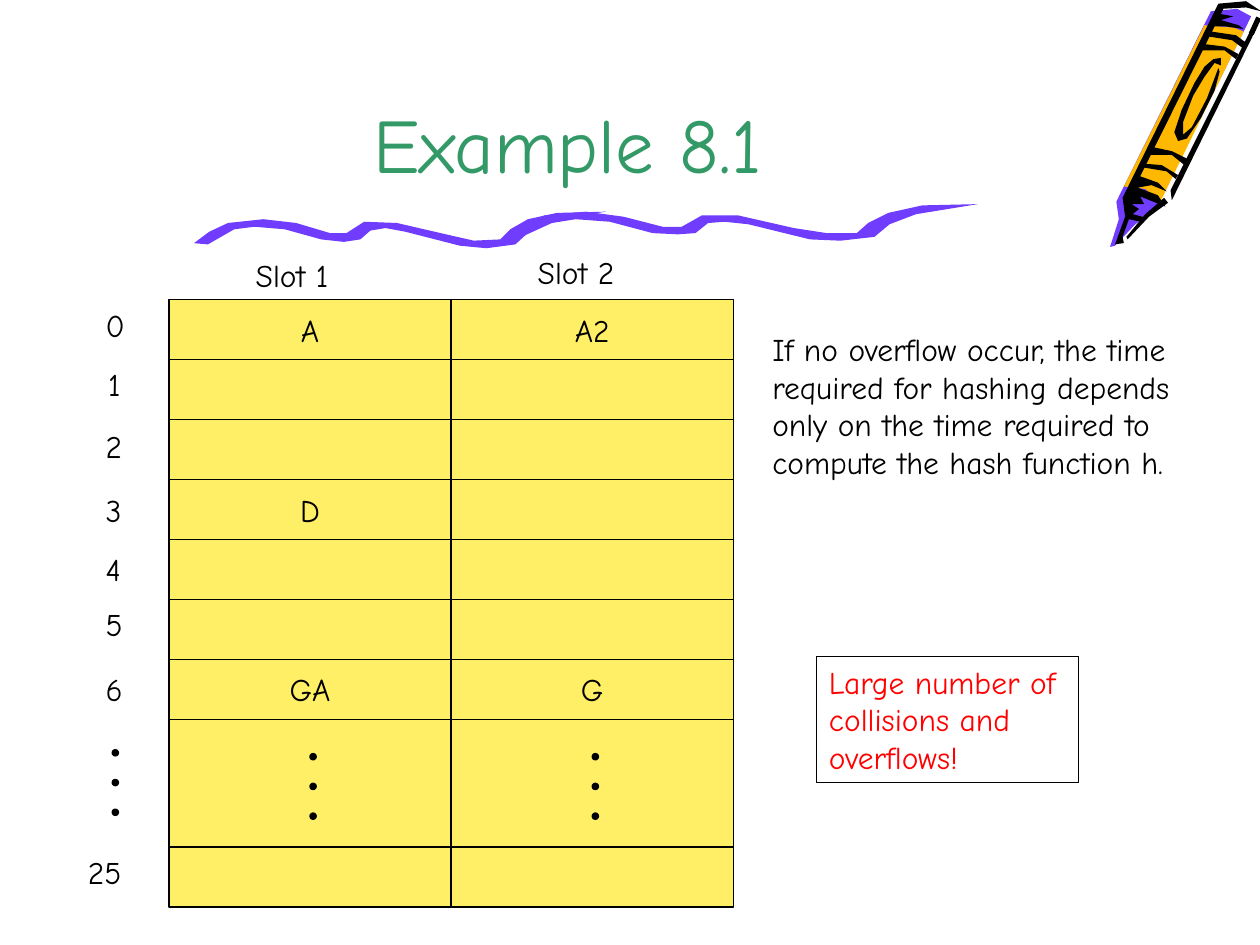
from itertools import accumulate
from typing import NamedTuple

from lxml import etree
from pptx import Presentation
from pptx.dml.color import RGBColor
from pptx.enum.shapes import MSO_CONNECTOR, MSO_SHAPE
from pptx.enum.text import MSO_ANCHOR, MSO_AUTO_SIZE, PP_ALIGN
from pptx.oxml.ns import qn
from pptx.util import Pt

FONT = "Comic Neue"
BLACK = RGBColor(0x00, 0x00, 0x00)
WHITE = RGBColor(0xFF, 0xFF, 0xFF)
PURPLE = RGBColor(0x70, 0x3D, 0xFF)
ORANGE = RGBColor(0xFF, 0xB8, 0x00)
YELLOW = RGBColor(0xFF, 0xEF, 0x66)
GREEN = RGBColor(0x33, 0x99, 0x66)
RED = RGBColor(0xFF, 0x00, 0x00)

OUTLINE_UNIT = Pt(0.72)  # one step of the outline coordinates


class Outline(NamedTuple):
    color: RGBColor
    points: list[tuple[int, int]]


class Label(NamedTuple):
    text: str
    x: float
    y: float
    w: float
    h: float = 28.8
    size: float = 18
    color: RGBColor = BLACK
    align: PP_ALIGN = PP_ALIGN.LEFT
    anchor: MSO_ANCHOR = MSO_ANCHOR.TOP


CRAYON = [
    # Tip and end, then the body
    Outline(PURPLE, [(993, 13), (917, 166), (901, 178), (885, 195), (881, 196), (888, 174),
                     (886, 160), (961, 9), (982, 7)]),
    Outline(ORANGE, [(921, 160), (909, 150), (892, 148), (956, 20), (979, 22), (987, 25)]),
    # Shading of the tip and the end
    Outline(BLACK, [(927, 161), (912, 172), (895, 190), (894, 188), (909, 170), (924, 157)]),
    Outline(BLACK, [(987, 23), (973, 21), (961, 21), (968, 11), (979, 13), (969, 16), (983, 20)]),
    # Oval on the wrapper
    Outline(BLACK, [(968, 57), (964, 72), (953, 94), (942, 110), (935, 112), (932, 105),
                    (938, 87), (948, 66), (956, 53), (963, 47), (969, 46), (969, 52),
                    (964, 50), (956, 61), (947, 76), (939, 97), (939, 107), (946, 101),
                    (958, 78), (967, 54)]),
    # Right and left edges
    Outline(BLACK, [(997, 23), (930, 159), (929, 151), (993, 23)]),
    Outline(BLACK, [(925, 164), (919, 155), (903, 149), (914, 147), (926, 152), (919, 145),
                    (905, 140), (971, 7), (989, 6), (1001, 9), (989, 1), (967, 3),
                    (891, 157), (893, 172), (885, 194), (892, 193), (891, 188), (896, 174),
                    (905, 176), (910, 173), (899, 170), (904, 166), (898, 162), (908, 162),
                    (905, 156)]),
    # Bands
    Outline(BLACK, [(933, 142), (926, 136), (908, 133), (909, 130), (922, 131), (935, 139)]),
    Outline(BLACK, [(940, 131), (930, 123), (913, 123), (916, 117), (930, 120), (942, 126)]),
    Outline(BLACK, [(981, 47), (972, 40), (953, 40), (956, 35), (972, 37), (983, 43)]),
    Outline(BLACK, [(986, 38), (978, 32), (959, 29), (961, 25), (981, 28), (989, 34)]),
]

SQUIGGLE = [
    Outline(PURPLE, [(165, 194), (186, 182), (202, 180), (226, 182), (255, 190), (273, 192),
                     (286, 190), (294, 183), (306, 181), (322, 184), (365, 195), (386, 197),
                     (409, 194), (420, 184), (438, 175), (481, 168), (442, 169), (419, 174),
                     (405, 182), (397, 190), (376, 191), (354, 186), (315, 177), (289, 176),
                     (275, 185), (262, 185), (235, 177), (209, 174), (181, 177), (166, 184),
                     (154, 193)]),
    Outline(PURPLE, [(414, 188), (438, 177), (457, 174), (484, 176), (518, 185), (538, 186),
                     (552, 185), (562, 177), (575, 176), (594, 178), (643, 190), (667, 191),
                     (694, 188), (706, 178), (727, 170), (776, 162), (732, 163), (705, 169),
                     (689, 177), (680, 185), (656, 185), (630, 181), (586, 171), (557, 171),
                     (541, 180), (526, 180), (495, 172), (465, 168), (432, 171), (415, 178),
                     (401, 188)]),
]

# Hash table grid
TABLE_X, TABLE_Y, COL_W = 96.6, 171.3, 161.2
ROW_HEIGHTS = [34.25] * 7 + [73, 34.25]
CELL_TEXT = {(0, 0): "A", (0, 1): "A2", (3, 0): "D", (6, 0): "GA", (6, 1): "G"}

# Bucket numbers
BUCKET_TOPS = [171.4, 205.2, 240.5, 277.2, 311, 342, 379.4]
BUCKETS = [Label(str(i), 54.7 if i == 1 else 53.3, y, 29.5)
           for i, y in enumerate(BUCKET_TOPS)] + [Label("25", 43.2, 483.8, 40.3)]

TEXTS = [
    Label("Example 8.1", 54, 0, 540.7, 111.6, 44, GREEN, PP_ALIGN.CENTER, MSO_ANCHOR.BOTTOM),
    Label("Slot 1", 139, 142.6, 77.8),
    Label("Slot 2", 300.2, 141.1, 77.8),
    Label("If no overflow occur, the time required for hashing depends only on the time "
          "required to compute the hash function h.", 434.2, 185, 272.2, 93.6),
]
NOTE = Label("Large number of collisions and overflows!", 466.6, 375.1, 149.8, 72, color=RED)

# Ellipsis columns: left edge and top of the first dot
DOT_SIZE, DOT_STEP = 3.6, 17
DOT_COLUMNS = [(64.1, 428.4), (177.1, 430.6), (338.4, 430.6)]


def draw_outline(s, outline: Outline) -> None:
    start, *rest = outline.points
    builder = s.shapes.build_freeform(*start, scale=OUTLINE_UNIT)
    builder.add_line_segments(rest, close=True)
    sp = builder.convert_to_shape()
    sp.shadow.inherit = False
    sp.fill.solid()
    sp.fill.fore_color.rgb = outline.color
    sp.line.fill.background()


def draw_shape(s, kind: MSO_SHAPE, x: float, y: float, w: float, h: float,
               fill: RGBColor | None = None):
    sp = s.shapes.add_shape(kind, Pt(x), Pt(y), Pt(w), Pt(h))
    sp.shadow.inherit = False
    if fill is None:
        sp.fill.background()
    else:
        sp.fill.solid()
        sp.fill.fore_color.rgb = fill
    sp.line.color.rgb = BLACK
    sp.line.width = Pt(0.75)
    return sp


def write(sp, label: Label, wrap: bool = True) -> None:
    tf = sp.text_frame
    tf.text = label.text
    tf.word_wrap = wrap
    tf.auto_size = MSO_AUTO_SIZE.NONE
    tf.vertical_anchor = label.anchor
    p = tf.paragraphs[0]
    p.alignment = label.align
    font = p.runs[0].font
    font.name, font.size = FONT, Pt(label.size)
    font.color.rgb = label.color


def draw_label(s, label: Label) -> None:
    write(s.shapes.add_textbox(Pt(label.x), Pt(label.y), Pt(label.w), Pt(label.h)), label)


def draw_crayon_edge(s) -> None:
    line = s.shapes.add_connector(MSO_CONNECTOR.STRAIGHT, Pt(719.3), Pt(10.1), Pt(715), Pt(19.4))
    line.line.color.rgb = BLACK
    line.line.width = Pt(3)
    etree.SubElement(line._element.spPr, qn("a:effectLst"))


def draw_table_cells(s) -> None:
    tops = accumulate(ROW_HEIGHTS, initial=TABLE_Y)
    for row, (y, h) in enumerate(zip(tops, ROW_HEIGHTS)):
        for col in range(2):
            x = TABLE_X + col * COL_W
            sp = draw_shape(s, MSO_SHAPE.RECTANGLE, x, y, COL_W, h, YELLOW)
            if (row, col) in CELL_TEXT:
                write(sp, Label(CELL_TEXT[row, col], x, y, COL_W, h, align=PP_ALIGN.CENTER,
                                anchor=MSO_ANCHOR.MIDDLE), wrap=False)


def main() -> None:
    prs = Presentation()
    prs.slide_width, prs.slide_height = Pt(720), Pt(540)
    s = prs.slides.add_slide(prs.slide_layouts[6])
    s.background.fill.solid()
    s.background.fill.fore_color.rgb = WHITE

    # Decoration
    for outline in CRAYON:
        draw_outline(s, outline)
    draw_crayon_edge(s)
    for outline in SQUIGGLE:
        draw_outline(s, outline)

    # Hash table with its labels and ellipses
    draw_table_cells(s)
    for label in TEXTS + BUCKETS:
        draw_label(s, label)
    for x, top in DOT_COLUMNS:
        for i in range(3):
            draw_shape(s, MSO_SHAPE.OVAL, x, top + i * DOT_STEP, DOT_SIZE, DOT_SIZE, BLACK)

    # Framed note
    write(draw_shape(s, MSO_SHAPE.RECTANGLE, NOTE.x, NOTE.y, NOTE.w, NOTE.h), NOTE)

    prs.save("out.pptx")


if __name__ == "__main__":
    main()
